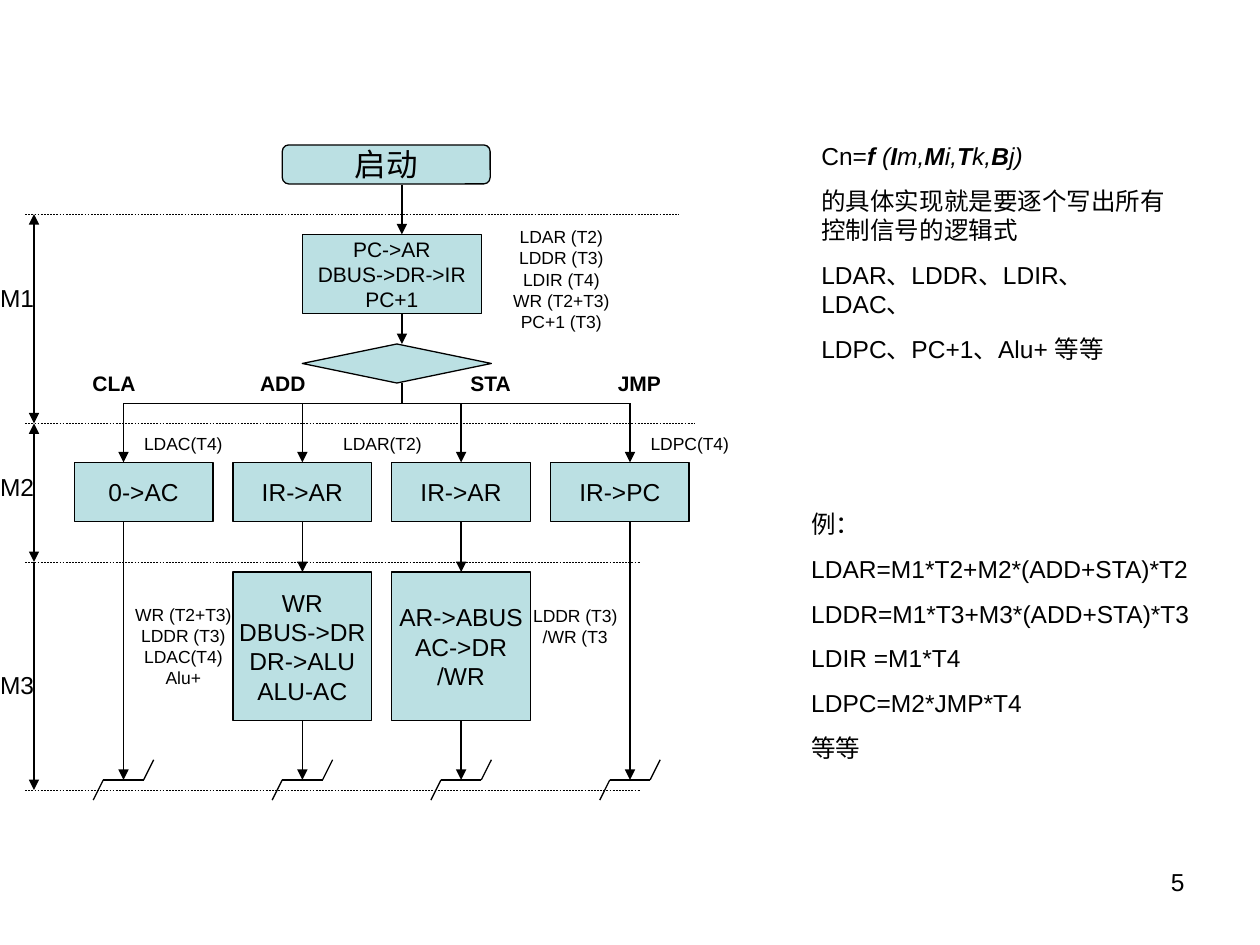
"""Builds the micro-operation flowchart slide with its control-signal formulas."""
from lxml import etree
from pptx import Presentation
from pptx.dml.color import RGBColor
from pptx.enum.dml import MSO_LINE
from pptx.enum.shapes import MSO_CONNECTOR, MSO_SHAPE
from pptx.enum.text import MSO_ANCHOR, PP_ALIGN
from pptx.oxml.ns import qn
from pptx.util import Inches, Pt

BLACK = RGBColor(0x00, 0x00, 0x00)
WHITE = RGBColor(0xFF, 0xFF, 0xFF)
PALE_TEAL = RGBColor(0xBB, 0xE0, 0xE3)
RECT = MSO_SHAPE.RECTANGLE
ROUNDED = MSO_SHAPE.ROUNDED_RECTANGLE
DIAMOND = MSO_SHAPE.DIAMOND
STRAIGHT = MSO_CONNECTOR.STRAIGHT
DASH = MSO_LINE.DASH
MIDDLE = MSO_ANCHOR.MIDDLE
LEFT, CENTER, RIGHT = PP_ALIGN.LEFT, PP_ALIGN.CENTER, PP_ALIGN.RIGHT
TOP_SIDE, BOTTOM_SIDE = 0, 2

prs = Presentation()
prs.slide_width = Inches(10)
prs.slide_height = Inches(7.5)
slide = prs.slides.add_slide(prs.slide_layouts[6])


def add_block(area, lines, size, geometry=None, fill=PALE_TEAL, bold=False, align=LEFT):
    place = [Inches(value) for value in area]
    if geometry is None:
        block = slide.shapes.add_textbox(*place)
    else:
        block = slide.shapes.add_shape(geometry, *place)
        block.shadow.inherit = False
        block.fill.solid()
        block.fill.fore_color.rgb = fill
        if fill == WHITE:
            block.line.fill.background()
        else:
            block.line.color.rgb = BLACK
            block.line.width = Pt(0.75)
        block.text_frame.vertical_anchor = MIDDLE
    frame = block.text_frame
    frame.word_wrap = geometry is None
    for index, line in enumerate(lines):
        paragraph = frame.add_paragraph() if index else frame.paragraphs[0]
        paragraph.alignment = align if geometry is None else CENTER
        if index and geometry is None:
            paragraph.space_before = Pt(8.8)
        runs = [(line, bold, False)] if isinstance(line, str) else line
        for text, is_bold, is_italic in runs:
            run = paragraph.add_run()
            run.text = text
            run.font.name = "Arial"
            run.font.size = Pt(size)
            run.font.bold = is_bold
            run.font.italic = is_italic
            run.font.color.rgb = BLACK
    return block


def add_line(x1, y1, x2, y2, ends=(), dashed=False):
    line = slide.shapes.add_connector(STRAIGHT, Inches(x1), Inches(y1), Inches(x2), Inches(y2))
    line.line.color.rgb = BLACK
    line.line.width = Pt(0.25 if dashed else 0.75)
    if dashed:
        line.line.dash_style = DASH
    outline = line.line._get_or_add_ln()
    for end in ends:
        etree.SubElement(outline, qn(f"a:{end}"), type="triangle")
    etree.SubElement(line._element.spPr, qn("a:effectLst"))
    return line


ARROW = ("tailEnd",)
BOTH = ("headEnd", "tailEnd")
BUS_Y, STEP_Y, STEP_END, M3_Y, M3_END, RETURN_Y = 3.2, 3.67, 4.14, 4.54, 5.72, 6.19

add_block((2.24, 1.15, 1.65, 0.31), ["启动"], 18, ROUNDED)
add_block((2.4, 1.86, 1.42, 0.63), ["PC->AR", "DBUS->DR->IR", "PC+1"], 12, RECT)
add_block((2.4, 2.73, 1.5, 0.31), [], 12, DIAMOND)

branches = [
    (0.98, "0->AC", []),
    (2.4, "IR->AR", ["WR", "DBUS->DR", "DR->ALU", "ALU-AC"]),
    (3.66, "IR->AR", ["AR->ABUS", "AC->DR", "/WR"]),
    (5, "IR->PC", []),
]
for column, (x, step, memory_step) in enumerate(branches):
    left = 0.59 + 1.26 * column
    step_box = add_block((left, STEP_Y, 1.1, STEP_END - STEP_Y), [step], 14, RECT)
    entry = add_line(x, BUS_Y, x, STEP_Y, ARROW)
    if memory_step:
        memory_box = add_block((left, M3_Y, 1.1, M3_END - M3_Y), memory_step, 14, RECT)
        entry.end_connect(step_box, TOP_SIDE)
        link = add_line(x, STEP_END, x, M3_Y, ARROW)
        link.begin_connect(step_box, BOTTOM_SIDE)
        link.end_connect(memory_box, TOP_SIDE)
        finish = add_line(x, M3_END, x, RETURN_Y, ARROW)
        finish.begin_connect(memory_box, BOTTOM_SIDE)
    else:
        add_line(x, STEP_END, x, RETURN_Y, ARROW)
    add_line(x - 0.16, RETURN_Y, x + 0.16, RETURN_Y)
    add_line(x + 0.16, RETURN_Y, x + 0.24, RETURN_Y - 0.16)
    add_line(x - 0.16, RETURN_Y, x - 0.24, RETURN_Y + 0.16)

add_line(0.98, BUS_Y, 5, BUS_Y)
add_line(3.19, 1.47, 3.19, 1.86, ARROW)
add_line(3.19, 2.49, 3.19, 2.73, ARROW)
add_line(3.19, 3.04, 3.19, BUS_Y)

for y, right in [(1.7, 5.39), (3.36, 5.51), (4.46, 5.08), (6.27, 5.08)]:
    add_line(0.2, y, right, y, dashed=True)

cycles = [
    ("M1", 1.7, 3.36, 2.25, BOTH),
    ("M2", 3.36, 4.46, 3.75, BOTH),
    ("M3", 4.46, 6.27, 5.32, ARROW),
]
for cycle, start, end, label_top, ends in cycles:
    add_line(0.27, start, 0.27, end, ends)
    frame = add_block((0, label_top, 0.31, 0.23), [cycle], 14).text_frame
    frame.margin_left = frame.margin_right = frame.margin_top = frame.margin_bottom = 0

signals = [
    ((4.06, 1.78, 0.79, 0.87), ["LDAR (T2)", "LDDR (T3)", "LDIR (T4)", "WR (T2+T3)", "PC+1 (T3)"]),
    ((1.14, 4.69, 0.63, 0.87), ["WR (T2+T3)", "LDDR (T3)", "LDAC(T4)", "Alu+"]),
    ((1.14, 3.44, 0.63, 0.16), ["LDAC(T4)"]),
    ((2.72, 3.44, 0.63, 0.16), ["LDAR(T2)"]),
    ((5.16, 3.44, 0.63, 0.16), ["LDPC(T4)"]),
]
for area, names in signals:
    add_block(area, names, 10, RECT, WHITE)
store_signals = add_block((4.29, 4.69, 0.55, 0.39), ["LDDR (T3)", "/WR (T3"], 10, RECT, WHITE)
store_signals.text_frame.margin_top = Inches(0.21)

for left, opcode in [(0.67, "CLA"), (2.01, "ADD"), (3.66, "STA"), (4.84, "JMP")]:
    add_block((left, 2.96, 0.47, 0.16), [opcode], 12, RECT, WHITE, bold=True)

formula = [("Cn=", False, False), ("f ", True, True), ("(", False, True)]
for factor, subscript in [("I", "m,"), ("M", "i,"), ("T", "k,"), ("B", "j)")]:
    formula += [(factor, True, True), (subscript, False, True)]
add_block((6.42, 1.07, 2.99, 1.87), [
    formula,
    "的具体实现就是要逐个写出所有控制信号的逻辑式",
    "LDAR、LDDR、LDIR、LDAC、",
    "LDPC、PC+1、Alu+ 等等",
], 14)
add_block((6.34, 3.99, 3.23, 2.11), [
    "例：",
    "LDAR=M1*T2+M2*(ADD+STA)*T2",
    "LDDR=M1*T3+M3*(ADD+STA)*T3",
    "LDIR =M1*T4",
    "LDPC=M2*JMP*T4",
    "等等",
], 14)
add_block((7.17, 6.83, 2.33, 0.52), ["5"], 14, align=RIGHT)

prs.save("out.pptx")
